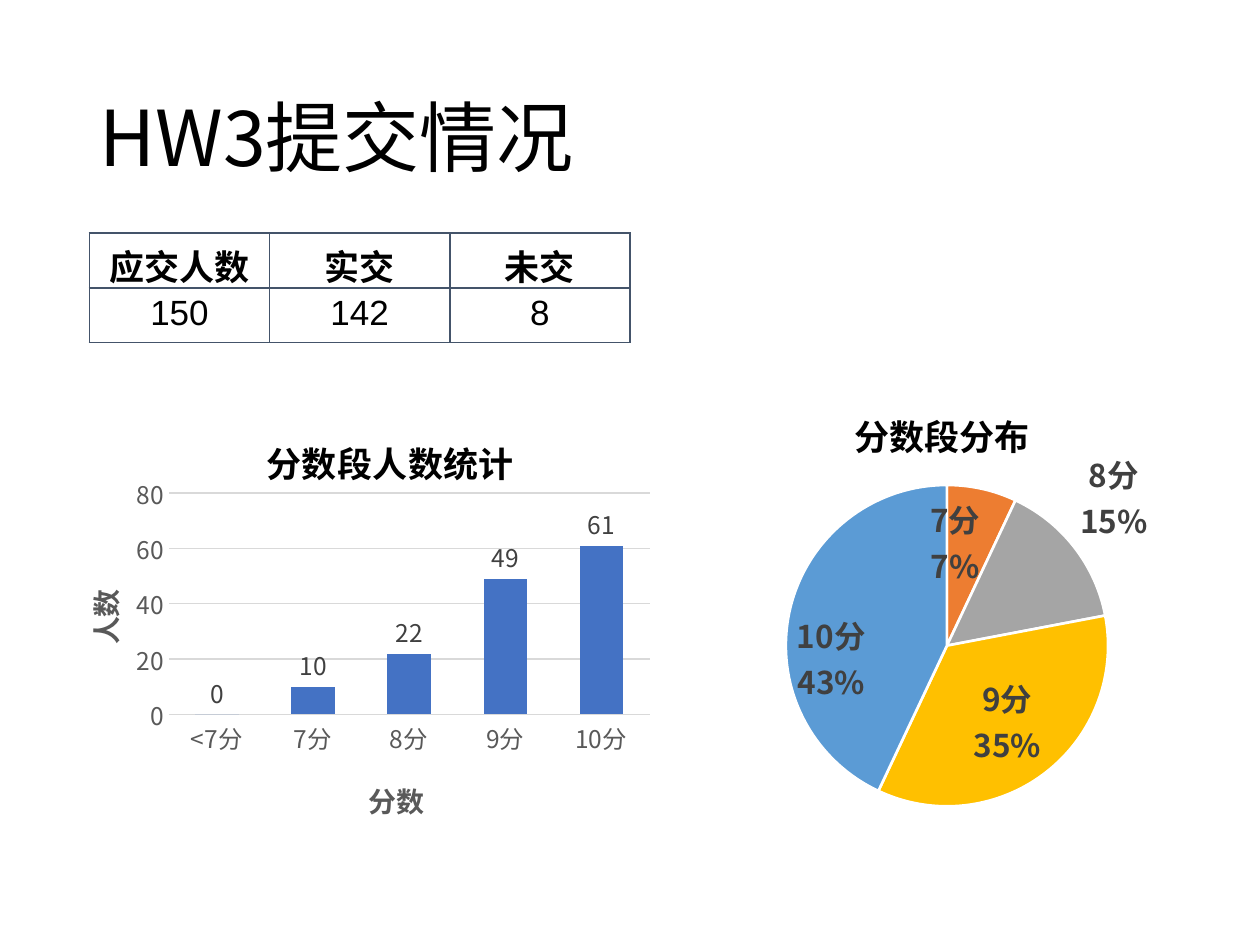
from dataclasses import dataclass

from lxml.etree import SubElement
from pptx import Presentation
from pptx.chart.data import CategoryChartData
from pptx.dml.color import RGBColor
from pptx.enum.chart import XL_CHART_TYPE, XL_LABEL_POSITION, XL_TICK_MARK
from pptx.enum.text import MSO_ANCHOR, MSO_AUTO_SIZE, PP_ALIGN
from pptx.oxml import parse_xml
from pptx.oxml.ns import nsdecls, qn
from pptx.util import Inches, Pt


@dataclass(frozen=True)
class Theme:
    font: str = "Noto Sans CJK SC"
    digit: str = "Arial"
    black: str = "000000"
    white: str = "FFFFFF"
    label: str = "404040"
    axis: str = "595959"
    grid: str = "D9D9D9"
    border: str = "44546A"
    slices: tuple = ("4472C4", "ED7D31", "A5A5A5", "FFC000", "5B9BD5")
    title: int = 44
    head: int = 20
    pie: int = 18
    name: int = 16
    tick: int = 14


T = Theme()
CATS = ["<7分", "7分", "8分", "9分", "10分"]


def rgb(code):
    return RGBColor.from_string(code)


def apply(item, form):
    for key, value in form.items():
        setattr(item, key, value)


def style(font, size, color=T.black, bold=False, name=T.font):
    font.color.rgb = rgb(color)
    apply(font, {"size": Pt(size), "bold": bold, "name": name})
    # East Asian characters need their own typeface entry
    SubElement(font._element, qn("a:ea")).set("typeface", name)


def add_text(slide, words, box, size, bold=False, **form):
    frame = slide.shapes.add_textbox(*map(Inches, box)).text_frame
    apply(frame, form)
    para = frame.paragraphs[0]
    run = para.add_run()
    run.text = words
    style(run.font, size, bold=bold)
    return para


def add_border(cell):
    props = cell._tc.get_or_add_tcPr()
    for side in ("lnL", "lnR", "lnT", "lnB"):
        props.append(parse_xml(
            f'<a:{side} {nsdecls("a")} w="{Pt(1)}"><a:solidFill>'
            f'<a:srgbClr val="{T.border}"/></a:solidFill></a:{side}>'))
    cell.fill.background()


def add_grid(slide, rows, box):
    shape = slide.shapes.add_table(len(rows), len(rows[0]), *map(Inches, box))
    table = shape.table
    for row, words in enumerate(rows):
        table.rows[row].height = Inches(0.37)
        for col, word in enumerate(words):
            cell = table.cell(row, col)
            add_border(cell)
            para = cell.text_frame.paragraphs[0]
            para.alignment = PP_ALIGN.CENTER
            run = para.add_run()
            run.text = word
            head = row == 0
            style(run.font, T.head, bold=head,
                  name=T.font if head else T.digit)


def place(node, inner=False, **spots):
    """Give a chart part a fixed place, in fractions of the chart."""
    layout = node.find(qn("c:layout"))
    if layout is None:
        layout = parse_xml(f'<c:layout {nsdecls("c")}/>')
        node.insert(0, layout)
    manual = SubElement(layout, qn("c:manualLayout"))
    if inner:
        SubElement(manual, qn("c:layoutTarget")).set("val", "inner")
    for key in ("xMode", "yMode"):
        SubElement(manual, qn(f"c:{key}")).set("val", "edge")
    for key, value in spots.items():
        SubElement(manual, qn(f"c:{key}")).set("val", str(value))


def add_plot(slide, kind, vals, box, spots):
    data = CategoryChartData()
    data.categories = CATS
    data.add_series("Series 1", vals)
    chart = slide.shapes.add_chart(kind, *map(Inches, box), data).chart
    apply(chart, {"has_legend": False, "has_title": False})
    place(chart._chartSpace.chart.plotArea, True, **spots)
    return chart


def set_title(title, words, size, color, x, y):
    para = title.text_frame.paragraphs[0]
    run = para.add_run()
    run.text = words
    style(run.font, size, color, True)
    place(title._element, x=x, y=y)


def set_axis(axis, words, x, y):
    apply(axis, {"major_tick_mark": XL_TICK_MARK.NONE,
                 "minor_tick_mark": XL_TICK_MARK.NONE})
    style(axis.tick_labels.font, T.tick, T.axis)
    set_title(axis.axis_title, words, T.name, T.axis, x, y)


def set_line(line, color, width):
    line.color.rgb = rgb(color)
    line.width = Pt(width)


def add_bars(slide):
    chart = add_plot(slide, XL_CHART_TYPE.COLUMN_CLUSTERED,
                     [0, 10, 22, 49, 61], (0.52, 3.25, 4.83, 3.33),
                     {"x": 0.17, "y": 0.2, "w": 0.79, "h": 0.53})
    set_title(chart.chart_title, "分数段人数统计", T.head, T.black, 0.32, 0.04)
    plot = chart.plots[0]
    apply(plot, {"gap_width": 120, "overlap": -27, "vary_by_categories": False})
    bars = plot.series[0]
    bars.format.fill.solid()
    bars.format.fill.fore_color.rgb = rgb(T.slices[0])
    apply(bars.data_labels, {"show_value": True,
                             "position": XL_LABEL_POSITION.OUTSIDE_END})
    style(bars.data_labels.font, T.tick, T.label)
    # Axes
    cat, val = chart.category_axis, chart.value_axis
    set_axis(cat, "分数", 0.49, 0.87)
    set_axis(val, "人数", 0.02, 0.42)
    apply(val, {"minimum_scale": 0, "maximum_scale": 80, "major_unit": 20})
    set_line(cat.format.line, T.grid, 0.75)
    set_line(val.major_gridlines.format.line, T.grid, 0.75)
    val.format.line.fill.background()
    body = val.axis_title.text_frame._txBody.bodyPr
    body.set("rot", "-5400000")
    body.set("vert", "horz")


def add_pie(slide):
    chart = add_plot(slide, XL_CHART_TYPE.PIE, [0, 7, 15, 35, 43],
                     (5.69, 3.13, 3.58, 3.28),
                     {"x": 0.15, "y": 0.22, "w": 0.72, "h": 0.78})
    pie = chart.plots[0].series[0]
    for index, color in enumerate(T.slices):
        form = pie.points[index].format
        form.fill.solid()
        form.fill.fore_color.rgb = rgb(color)
        set_line(form.line, T.white, 1.5)
    # Category and percent on every slice
    labels = pie.data_labels
    apply(labels, {"show_value": False, "show_percentage": True,
                   "show_category_name": True,
                   "position": XL_LABEL_POSITION.OUTSIDE_END})
    style(labels.font, T.pie, T.label, True)
    for index in (0, 1, 3, 4):
        label = pie.points[index].data_label
        style(label.font, T.pie, T.label, True)
        label.position = XL_LABEL_POSITION.INSIDE_END
    flags = {"showVal": "0", "showCatName": "1", "showPercent": "1"}
    for node in labels._element.findall(qn("c:dLbl")):
        for key, value in flags.items():
            node.find(qn(f"c:{key}")).set("val", value)
    for node in list(labels._element.iter(qn("c:showBubbleSize"))):
        split = parse_xml(f'<c:separator {nsdecls("c")}>\n</c:separator>')
        node.addnext(split)
    # The empty slice has no label
    empty = labels._element.find(qn("c:dLbl"))
    for part in list(empty)[1:]:
        empty.remove(part)
    SubElement(empty, qn("c:delete")).set("val", "1")


def main():
    deck = Presentation()
    apply(deck, {"slide_width": Inches(10), "slide_height": Inches(7.5)})
    slide = deck.slides.add_slide(deck.slide_layouts[6])
    # Heading
    para = add_text(slide, "HW3提交情况", (0.69, 0.4, 8.62, 1.45), T.title,
                    word_wrap=True, vertical_anchor=MSO_ANCHOR.MIDDLE)
    para.line_spacing = 0.9
    # Hand-in counts
    add_grid(slide, [["应交人数", "实交", "未交"], ["150", "142", "8"]],
             (0.71, 1.85, 4.29, 0.74))
    # Score charts
    add_bars(slide)
    add_pie(slide)
    add_text(slide, "分数段分布", (6.68, 3.25, 1.6, 0.44), T.head, True,
             word_wrap=False, auto_size=MSO_AUTO_SIZE.SHAPE_TO_FIT_TEXT)
    deck.save("out.pptx")


if __name__ == "__main__":
    main()
